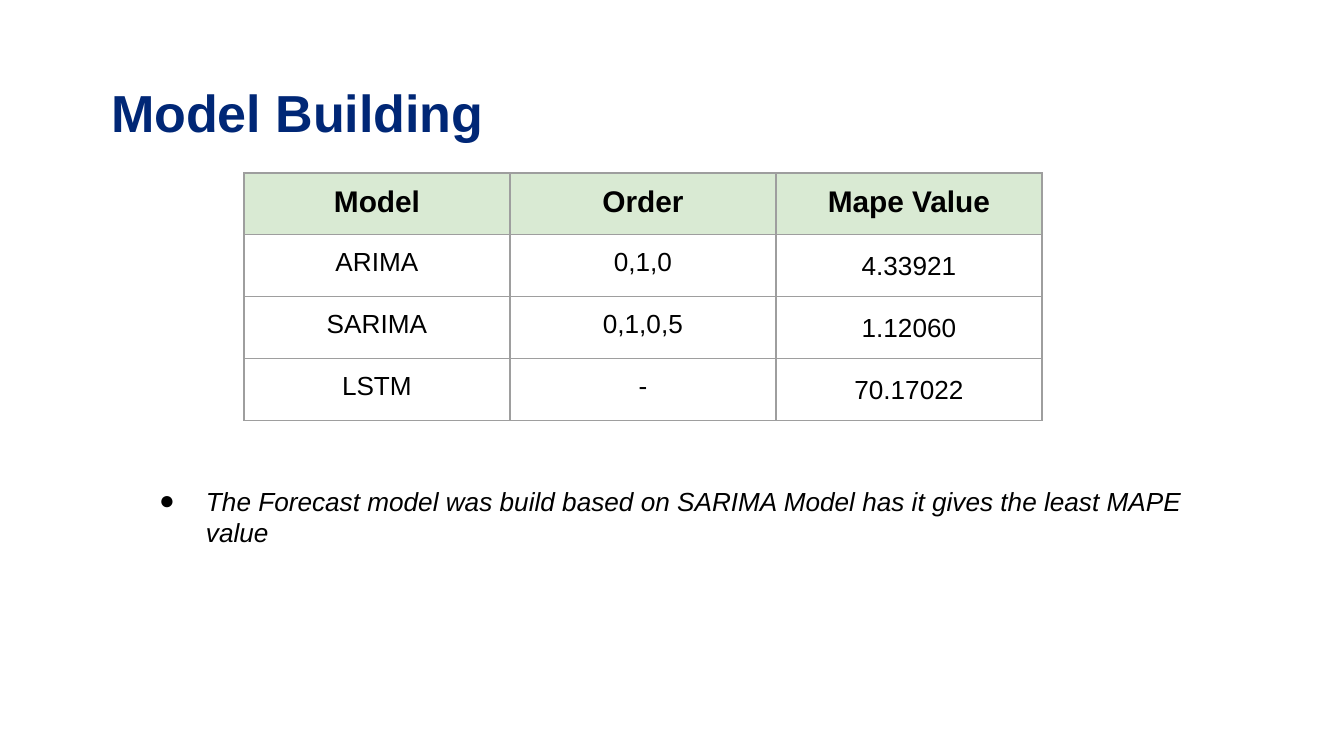
from dataclasses import dataclass

from lxml import etree
from pptx import Presentation
from pptx import util as u
from pptx.dml.color import RGBColor
from pptx.enum import text
from pptx.oxml import ns

SCALE = 914400 / 134.4


@dataclass(frozen=True)
class Theme:
    """Colours, font and type sizes of the slide."""
    font: str = "Arial"
    title: str = "002776"
    ink: str = "000000"
    head_fill: str = "D9EAD3"
    border: str = "9E9E9E"
    border_pt: float = 0.75
    title_pt: float = 27.9
    head_pt: int = 16
    body_pt: int = 14
    inset: int = 13


THEME = Theme()
ROWS = [
    ["Model", "Order", "Mape Value"],
    ["ARIMA", "0,1,0", "4.33921"],
    ["SARIMA", "0,1,0,5", "1.12060"],
    ["LSTM", "-", "70.17022"],
]


def px(n):
    """Turn pixels into EMU."""
    return u.Emu(round(n * SCALE))


def style(p, size, color=THEME.ink, bold=False, italic=False):
    """Format every run of a paragraph."""
    for r in p.runs:
        f = r.font
        f.name, f.size, f.bold, f.italic = THEME.font, u.Pt(size), bold, italic
        f.color.rgb = RGBColor.from_string(color)


def set_insets(frame):
    """Give a text box or cell equal insets."""
    for side in ("left", "top", "right", "bottom"):
        setattr(frame, f"margin_{side}", px(THEME.inset))


def add_text(s, box, content):
    """Add a wrapping text box and return its frame and paragraph."""
    tf = s.shapes.add_textbox(*map(px, box)).text_frame
    tf.word_wrap = True
    set_insets(tf)
    p = tf.paragraphs[0]
    p.text = content
    return tf, p


def add_title(s, box, content):
    """Place the slide heading in its box."""
    tf, p = add_text(s, box, content)
    tf.margin_top = px(20)
    p.line_spacing, p.space_after = 1.15, u.Pt(10)
    style(p, THEME.title_pt, THEME.title, bold=True)


def set_borders(cell):
    """Draw the four borders of a cell, ahead of its fill."""
    tc_pr = cell._tc.get_or_add_tcPr()
    for i, side in enumerate(("lnL", "lnR", "lnT", "lnB")):
        ln = etree.Element(ns.qn(f"a:{side}"), w=str(u.Pt(THEME.border_pt)))
        fill = etree.SubElement(ln, ns.qn("a:solidFill"))
        etree.SubElement(fill, ns.qn("a:srgbClr"), val=THEME.border)
        tc_pr.insert(i, ln)


def add_model_table(s, box, rows):
    """Place the model comparison, with equal rows and columns, in its box."""
    left, top, width, height = map(px, box)
    table = s.shapes.add_table(len(rows), len(rows[0]), left, top, width, height).table
    for i, row in enumerate(rows):
        for j, value in enumerate(row):
            cell = table.cell(i, j)
            set_insets(cell)
            p = cell.text_frame.paragraphs[0]
            p.text = value
            p.alignment = text.PP_ALIGN.CENTER
            is_head = i == 0
            if is_head:
                cell.fill.solid()
                cell.fill.fore_color.rgb = RGBColor.from_string(THEME.head_fill)
            else:
                cell.fill.background()
                if j == len(row) - 1:
                    p.line_spacing = 1.15
            style(p, THEME.head_pt if is_head else THEME.body_pt, bold=is_head)
            set_borders(cell)


def add_conclusion(s, box, content):
    """Place the bulleted conclusion in its box."""
    tf, p = add_text(s, box, content)
    tf.auto_size = text.MSO_AUTO_SIZE.SHAPE_TO_FIT_TEXT
    style(p, THEME.body_pt, italic=True)
    p_pr = p._p.get_or_add_pPr()
    p_pr.set("marL", str(px(67)))
    p_pr.set("indent", str(px(-47)))
    color = etree.SubElement(p_pr, ns.qn("a:buClr"))
    etree.SubElement(color, ns.qn("a:srgbClr"), val=THEME.ink)
    etree.SubElement(p_pr, ns.qn("a:buFont"), typeface=THEME.font)
    etree.SubElement(p_pr, ns.qn("a:buChar"), char="●")


def build():
    """Build and save the slide."""
    prs = Presentation()
    prs.slide_width, prs.slide_height = px(1344), px(756)
    s = prs.slides.add_slide(prs.slide_layouts[6])
    add_title(s, (98, 51, 542, 85), "Model Building")
    add_model_table(s, (244, 173, 798, 240), ROWS)
    add_conclusion(s, (126, 472, 1085, 90),
                   "The Forecast model was build based on SARIMA Model "
                   "has it gives the least MAPE value")
    prs.save("out.pptx")


build()
